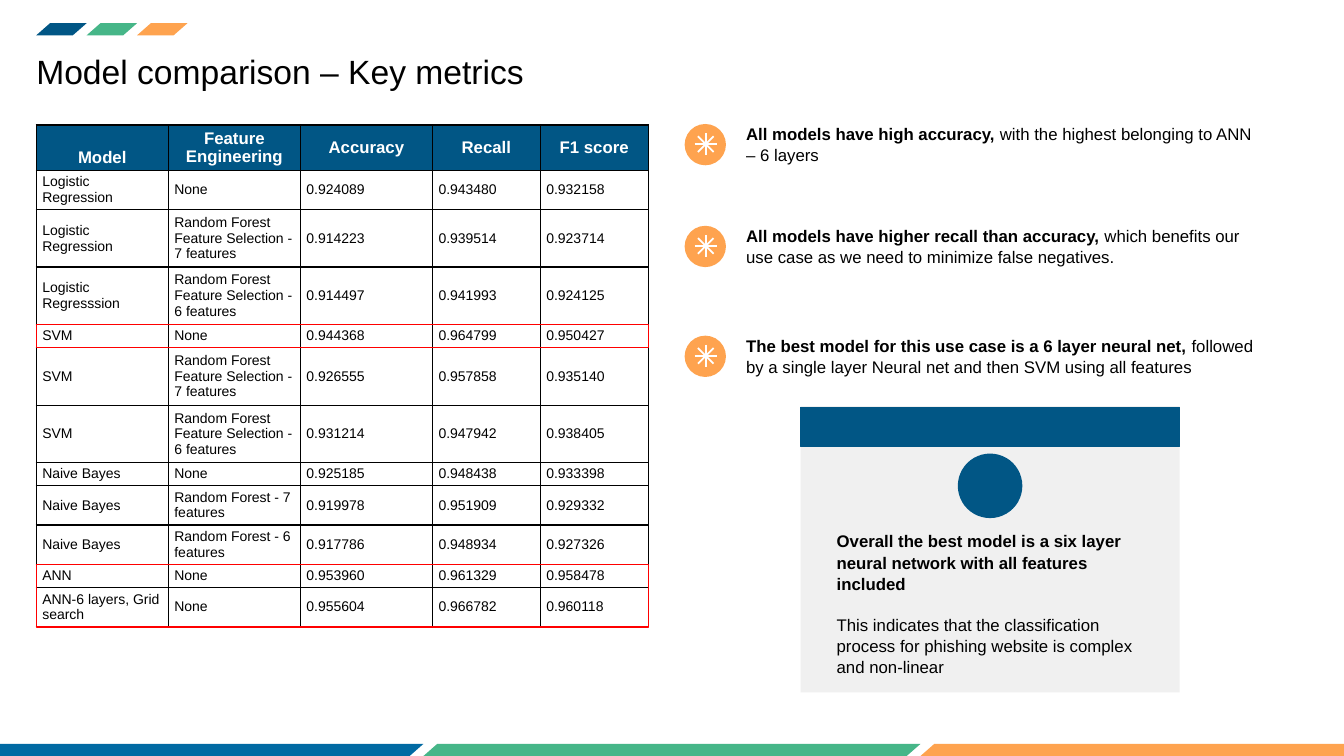
from math import cos, pi, sin

from lxml import etree
from pptx import Presentation
from pptx.dml.color import RGBColor
from pptx.enum import shapes, text
from pptx.oxml import ns
from pptx.util import Inches, Pt

# Content
TITLE = "Model comparison – Key metrics"
HEADS = ["Model", "Feature Engineering", "Accuracy", "Recall", "F1 score"]
PICK = "Random Forest Feature Selection - "
# Lines of text in the row, then its cells
ROWS = [
    (2, "Logistic Regression", "None", "0.924089", "0.943480", "0.932158"),
    (3, "Logistic Regression", PICK + "7 features", "0.914223", "0.939514", "0.923714"),
    (3, "Logistic Regresssion", PICK + "6 features", "0.914497", "0.941993", "0.924125"),
    (1, "SVM", "None", "0.944368", "0.964799", "0.950427"),
    (3, "SVM", PICK + "7 features", "0.926555", "0.957858", "0.935140"),
    (3, "SVM", PICK + "6 features", "0.931214", "0.947942", "0.938405"),
    (1, "Naive Bayes", "None", "0.925185", "0.948438", "0.933398"),
    (2, "Naive Bayes", "Random Forest - 7 features", "0.919978", "0.951909", "0.929332"),
    (2, "Naive Bayes", "Random Forest - 6 features", "0.917786", "0.948934", "0.927326"),
    (1, "ANN", "None", "0.953960", "0.961329", "0.958478"),
    (2, "ANN-6 layers, Grid search", "None", "0.955604", "0.966782", "0.960118"),
]
BEST = [(10, 12), (4, 5)]  # framed table rows: first, one past last
POINTS = [
    (1.23, "All models have high accuracy, ",
     "with the highest belonging to ANN – 6 layers"),
    (2.24, "All models have higher recall than accuracy, ",
     "which benefits our use case as we need to minimize false negatives."),
    (3.33, "The best model for this use case is a 6 layer neural net, ",
     "followed by a single layer Neural net and then SVM using all features"),
]
VERDICT = [
    ("Overall the best model is a six layer neural network with all features included", True),
    ("This indicates that the classification process for phishing website is complex "
     "and non-linear", False),
]
HEX = {"navy": "015685", "blue": "016AA3", "green": "46B688", "orange": "FEA34F",
       "grey": "CFCFCF", "red": "FF0000", "black": "000000", "white": "FFFFFF"}

# Layout
LEFT, TOP = 0.36, 1.24
COLS = [1.31, 1.31, 1.31, 1.07, 1.07]
HIGH = {1: 0.23, 2: 0.39, 3: 0.57}
TALL = [0.45] + [HIGH[row[0]] for row in ROWS]
KIND = shapes.MSO_SHAPE

deck = Presentation()
deck.slide_width, deck.slide_height = Inches(13.33), Inches(7.5)
slide = deck.slides.add_slide(deck.slide_layouts[5])


def tint(name):
    return RGBColor.from_string(HEX[name])


def box(*spot):
    return [Inches(v) for v in spot]


def paint(shape, fill=None, line=None, width=1):
    shape.shadow.inherit = False
    if fill:
        shape.fill.solid()
        shape.fill.fore_color.rgb = tint(fill)
    else:
        shape.fill.background()
    if line:
        shape.line.color.rgb = tint(line)
        shape.line.width = Pt(width)
    else:
        shape.line.fill.background()
    return shape


def draw(kind, spot, fill=None, line=None):
    return paint(slide.shapes.add_shape(kind, *box(*spot)), fill, line)


def style(run, size, color="black", bold=False):
    run.font.name, run.font.size, run.font.bold = "Arial", Pt(size), bold
    run.font.color.rgb = tint(color)


def frame(shape, inset=0):
    body = shape.text_frame
    body.word_wrap = True
    if not inset:
        body.margin_left = body.margin_right = 0
        body.margin_top = body.margin_bottom = 0
        body.vertical_anchor = text.MSO_ANCHOR.MIDDLE
    return body


def edge(cell):
    props = cell._tc.get_or_add_tcPr()
    for side in ("lnL", "lnR", "lnT", "lnB"):
        line = etree.SubElement(props, ns.qn("a:" + side), w=str(Pt(1)))
        fill = etree.SubElement(line, ns.qn("a:solidFill"))
        etree.SubElement(fill, ns.qn("a:srgbClr"), val=HEX["black"])


# Title
title = slide.shapes.title
title.left, title.top, title.width, title.height = box(LEFT, 0.5, 5.76, 0.4)
body = frame(title)
body.text = TITLE
body.paragraphs[0].alignment = text.PP_ALIGN.LEFT
style(body.paragraphs[0].runs[0], 24)

# Slanted strips at the top and along the foot
for x, y, wide, hues in ((LEFT, 0.23, 0.5, ("navy", "green", "orange")),
                         (-0.73, 7.38, 4.93, ("blue", "green", "orange"))):
    for i, hue in enumerate(hues):
        strip = draw(KIND.PARALLELOGRAM, (x + i * wide, y, wide, 0.12), hue)
        strip.adjustments[0] = 1.14

# Metrics table
grid = slide.shapes.add_table(len(TALL), len(COLS),
                              *box(LEFT, TOP, sum(COLS), sum(TALL))).table
for col, wide in zip(grid.columns, COLS):
    col.width = Inches(wide)
for r, (tall, words) in enumerate(zip(TALL, [HEADS] + [row[1:] for row in ROWS])):
    grid.rows[r].height = Inches(tall)
    for c, word in enumerate(words):
        cell = grid.cell(r, c)
        edge(cell)
        cell.margin_left = cell.margin_right = Inches(0.06)
        cell.margin_top = cell.margin_bottom = Inches(0.03)
        cell.vertical_anchor = text.MSO_ANCHOR.MIDDLE
        cell.text = word
        para = cell.text_frame.paragraphs[0]
        if r == 0:
            cell.fill.solid()
            cell.fill.fore_color.rgb = tint("navy")
            para.alignment = text.PP_ALIGN.CENTER
            style(para.runs[0], 12, "white", True)
        else:
            cell.fill.background()
            style(para.runs[0], 10)
grid.cell(0, 0).vertical_anchor = text.MSO_ANCHOR.BOTTOM

# Key points, each with a star badge
for y, lead, rest in POINTS:
    draw(KIND.OVAL, (6.79, y, 0.41, 0.41), "orange")
    for i in range(4):
        dx, dy = 0.11 * cos(i * pi / 4), 0.11 * sin(i * pi / 4)
        ray = slide.shapes.add_connector(
            shapes.MSO_CONNECTOR.STRAIGHT,
            *box(7 - dx, y + 0.2 - dy, 7 + dx, y + 0.2 + dy))
        ray.line.color.rgb = tint("white")
        ray.line.width = Pt(1.25)
        etree.SubElement(ray._element.spPr, ns.qn("a:effectLst"))
    para = frame(slide.shapes.add_textbox(*box(7.4, y, 5.15, 0.4))).paragraphs[0]
    para.line_spacing = 1.05
    for words, bold in ((lead, True), (rest, False)):
        run = para.add_run()
        run.text = words
        style(run, 12, bold=bold)

# Verdict card
card = draw(KIND.RECTANGLE, (7.94, 4.03, 3.76, 2.84), "grey")
shade = card._element.spPr.find(".//" + ns.qn("a:srgbClr"))
etree.SubElement(shade, ns.qn("a:alpha"), val="30000")
draw(KIND.RECTANGLE, (7.94, 4.04, 3.76, 0.39), "navy", "navy")
body = frame(slide.shapes.add_textbox(*box(8.2, 5.21, 3.23, 1.51)), inset=1)
body.text = "\n".join(words for words, bold in VERDICT)
for para, (words, bold) in zip(body.paragraphs, VERDICT):
    para.line_spacing = 1.05
    style(para.runs[0], 12, bold=bold)
body.paragraphs[1].space_before = Pt(14.5)

# Flag badge
draw(KIND.OVAL, (9.5, 4.5, 0.64, 0.64), "navy")
wave = [(9.68 + 0.27 * t / 16, -0.02 * sin(t * pi / 8)) for t in range(17)]
edges = [(x, 4.66 + d) for x, d in wave] + [(x, 4.83 + d) for x, d in reversed(wave)]
flag = slide.shapes.build_freeform(9.68, 4.98, scale=Inches(1))
flag.add_line_segments(edges, close=False)
paint(flag.convert_to_shape(), line="white", width=1.75)

# Frames round the best rows
for start, stop in BEST:
    draw(KIND.RECTANGLE, (LEFT, TOP + sum(TALL[:start]), sum(COLS),
                          sum(TALL[start:stop])), line="red")

deck.save("out.pptx")
